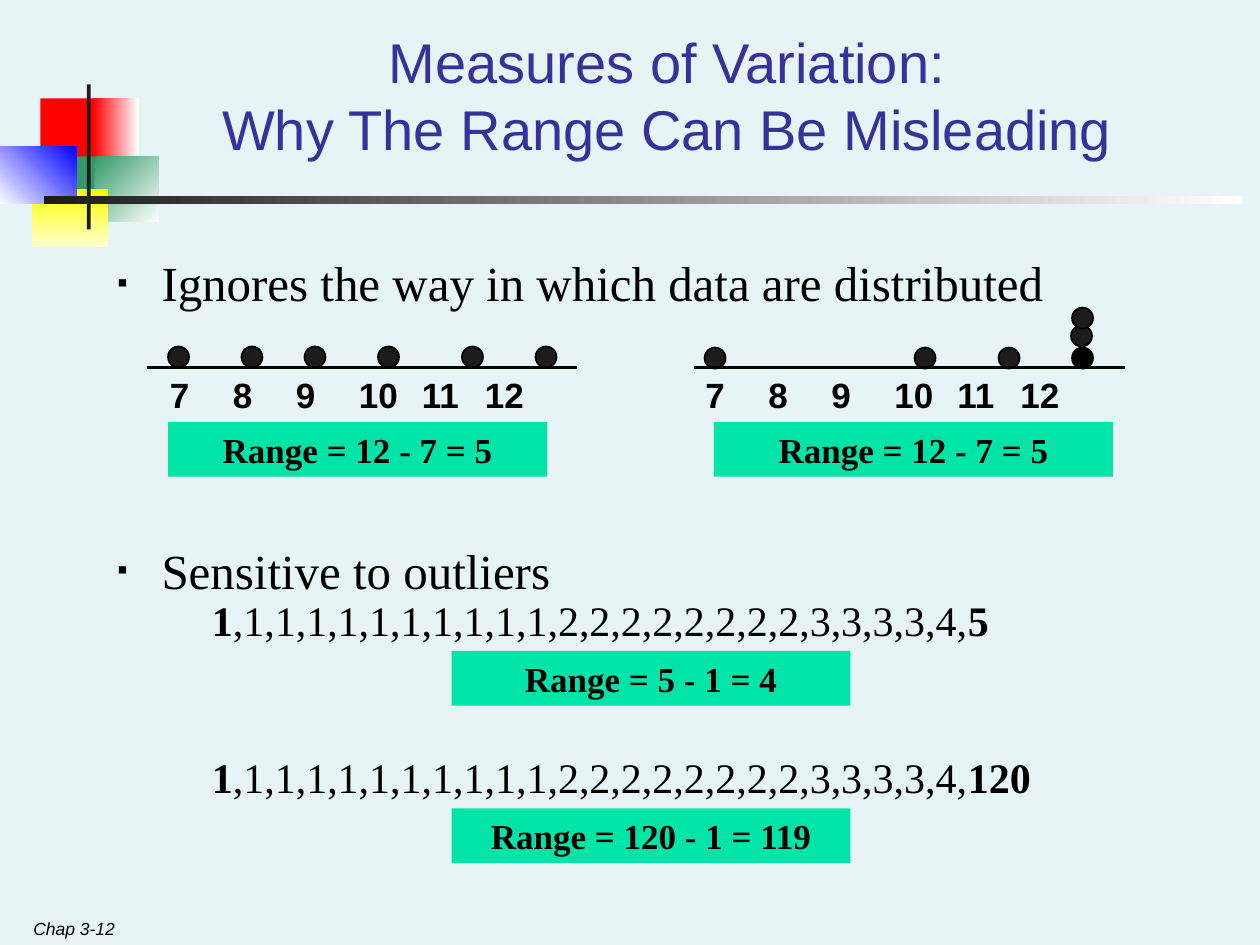
from lxml import etree
from pptx import Presentation
from pptx.dml.color import RGBColor
from pptx.enum.shapes import MSO_CONNECTOR, MSO_SHAPE
from pptx.enum.text import MSO_ANCHOR, PP_ALIGN
from pptx.oxml.ns import qn
from pptx.util import Inches, Pt

RECT, DOT = MSO_SHAPE.RECTANGLE, MSO_SHAPE.OVAL
STRAIGHT = MSO_CONNECTOR.STRAIGHT
LEFT, CENTER = PP_ALIGN.LEFT, PP_ALIGN.CENTER
TOP, MIDDLE, BOTTOM = MSO_ANCHOR.TOP, MSO_ANCHOR.MIDDLE, MSO_ANCHOR.BOTTOM
SANS, SERIF = "Arial", "Times New Roman"
COLORS = {
    "background": "E7F4F5", "title": "333399", "text": "000000",
    "ink": "1C1C1C", "range": "00E4A8", "white": "FFFFFF",
    "red": "FF0000", "green": "339966", "yellow": "FFFF00",
    "cream": "FFFFCC", "blue": "0000FF",
}
RGB = {name: RGBColor.from_string(value) for name, value in COLORS.items()}

prs = Presentation()
prs.slide_width, prs.slide_height = Inches(10), Inches(7.5)
slide = prs.slides.add_slide(prs.slide_layouts[6])
slide.background.fill.solid()
slide.background.fill.fore_color.rgb = RGB["background"]

# Grid of 120 columns and 90 rows; both steps are equal
STEP = prs.slide_width / 120


def block(kind, place, fill, fade=None, angle=0, outline=None):
    """Add a preset shape; angle runs clockwise from left to right."""
    shape = slide.shapes.add_shape(kind, *(int(v * STEP) for v in place))
    shape.shadow.inherit = False
    if fade:
        shape.fill.gradient()
        shape.fill.gradient_angle = -angle % 360
        for stop, name in zip(shape.fill.gradient_stops, (fill, fade)):
            stop.color.rgb = RGB[name]
    else:
        shape.fill.solid()
        shape.fill.fore_color.rgb = RGB[fill]
    if outline:
        shape.line.color.rgb = RGB[outline]
        shape.line.width = Pt(1)
    else:
        shape.line.fill.background()
    return shape


def write(text, place=None, holder=None, size=20, font=SERIF, color="text",
          bold=False, italic=False, align=LEFT, anchor=TOP, margin=0,
          hanging=0, bullet=None, gap=0, tabs=()):
    """Write lines of text; **marks** surround bold parts of a line."""
    if holder is None:
        holder = slide.shapes.add_textbox(*(int(v * STEP) for v in place))
    frame = holder.text_frame
    frame.word_wrap = True
    frame.vertical_anchor = anchor
    for number, line in enumerate(text.split("\n")):
        paragraph = frame.add_paragraph() if number else frame.paragraphs[0]
        paragraph.alignment = align
        if number:
            paragraph.space_before = Pt(gap)
        props = paragraph._p.get_or_add_pPr()
        props.set("marL", str(int(margin * STEP)))
        props.set("indent", str(int(-hanging * STEP)))
        if bullet:
            etree.SubElement(props, qn("a:buSzPct"), val="60000")
            etree.SubElement(props, qn("a:buFont"), typeface=SANS)
            etree.SubElement(props, qn("a:buChar"), char=bullet)
        if tabs:
            stops = etree.SubElement(props, qn("a:tabLst"))
            for stop in tabs:
                etree.SubElement(stops, qn("a:tab"),
                                 pos=str(int(stop * STEP)), algn="ctr")
        for part, words in enumerate(line.split("**")):
            if words:
                run = paragraph.add_run()
                run.text = words
                run.font.size, run.font.name = Pt(size), font
                run.font.color.rgb = RGB[color]
                run.font.bold = bold or part % 2 == 1
                run.font.italic = italic


# Corner ornament and the fading rule under the title
for place, fill, fade, angle in [
    ((3.84, 9.36, 5.76, 6.24), "red", None, 0),
    ((8.88, 9.36, 4.32, 6.24), "red", "white", 0),
    ((9, 14.88, 6.12, 6.24), "green", "white", 45),
    ((5.16, 14.88, 3.84, 6.24), "green", None, 0),
    ((3, 18, 7.32, 5.52), "yellow", "cream", 90),
    ((0, 13.92, 7.32, 5.52), "white", "blue", 315),
    ((8.28, 8.04, 0.36, 13.8), "ink", None, 0),
    ((4.2, 18.72, 114.12, 0.72), "ink", "white", 0),
]:
    block(RECT, place, fill, fade, angle)

# Footer, title and main points
write("Chap 3-12", (2, 85.8, 61, 4.2), size=10, font=SANS, italic=True,
      anchor=BOTTOM)
write("Measures of Variation:\nWhy The Range Can Be Misleading",
      (15.1, 3, 96.9, 13), size=32, font=SANS, color="title", align=CENTER,
      anchor=BOTTOM)
write("Ignores the way in which data are distributed\nSensitive to outliers",
      (10, 23.5, 106, 54), size=28, margin=4.2, hanging=4.2, bullet="▪",
      gap=130.6)

# Dot plots: axis, dots as (column, row, fill), scale and its tab stops
AXIS_ROW = 35
DOT_SIZE = 2
for axis_start, dots, scale_left, tabs in [
    (14, [(column, 33, "ink") for column in (16, 23, 29, 36, 44, 51)],
     15, (7.3, 13.8, 21.2, 28.6, 35.9)),
    (66.1, [(67.1, 33.1, "ink"), (87.1, 33.1, "ink"), (95.1, 33.1, "ink"),
            (102.1, 33.1, "text"), (102, 31, "ink"), (102.1, 29.3, "ink")],
     66, (7.3, 13.8, 20.3, 28.6, 35.9)),
]:
    for column, row, fill in dots:
        block(DOT, (column, row, DOT_SIZE, DOT_SIZE), fill, outline="text")
    axis = slide.shapes.add_connector(
        STRAIGHT, int(axis_start * STEP), int(AXIS_ROW * STEP),
        int((axis_start + 41) * STEP), int(AXIS_ROW * STEP))
    axis.line.color.rgb = RGB["text"]
    axis.line.width = Pt(2.25)
    etree.SubElement(axis._element.spPr, qn("a:effectLst"))
    write("\t".join(str(value) for value in range(7, 13)),
          (scale_left, AXIS_ROW, 45, 5.2), font=SANS, bold=True, tabs=tabs)

# Data series without and with an outlier
ONES_TO_FOUR = ",1,1,1,1,1,1,1,1,1,1,2,2,2,2,2,2,2,2,3,3,3,3,4,"
for row, largest in [(56, "5"), (71, "120")]:
    write(f"**1**{ONES_TO_FOUR}**{largest}**", (7, row, 108, 6), size=24,
          margin=12)

# Range results
for column, row, width, result in [
    (16, 40.2, 36.1, "12 - 7 = 5"),
    (68, 40.2, 38, "12 - 7 = 5"),
    (43, 62, 38, "5 - 1 = 4"),
    (43, 77, 38, "120 - 1 = 119"),
]:
    write(f"Range = {result}",
          holder=block(RECT, (column, row, width, 5.2), "range"),
          bold=True, align=CENTER, anchor=MIDDLE)

prs.save("out.pptx")
